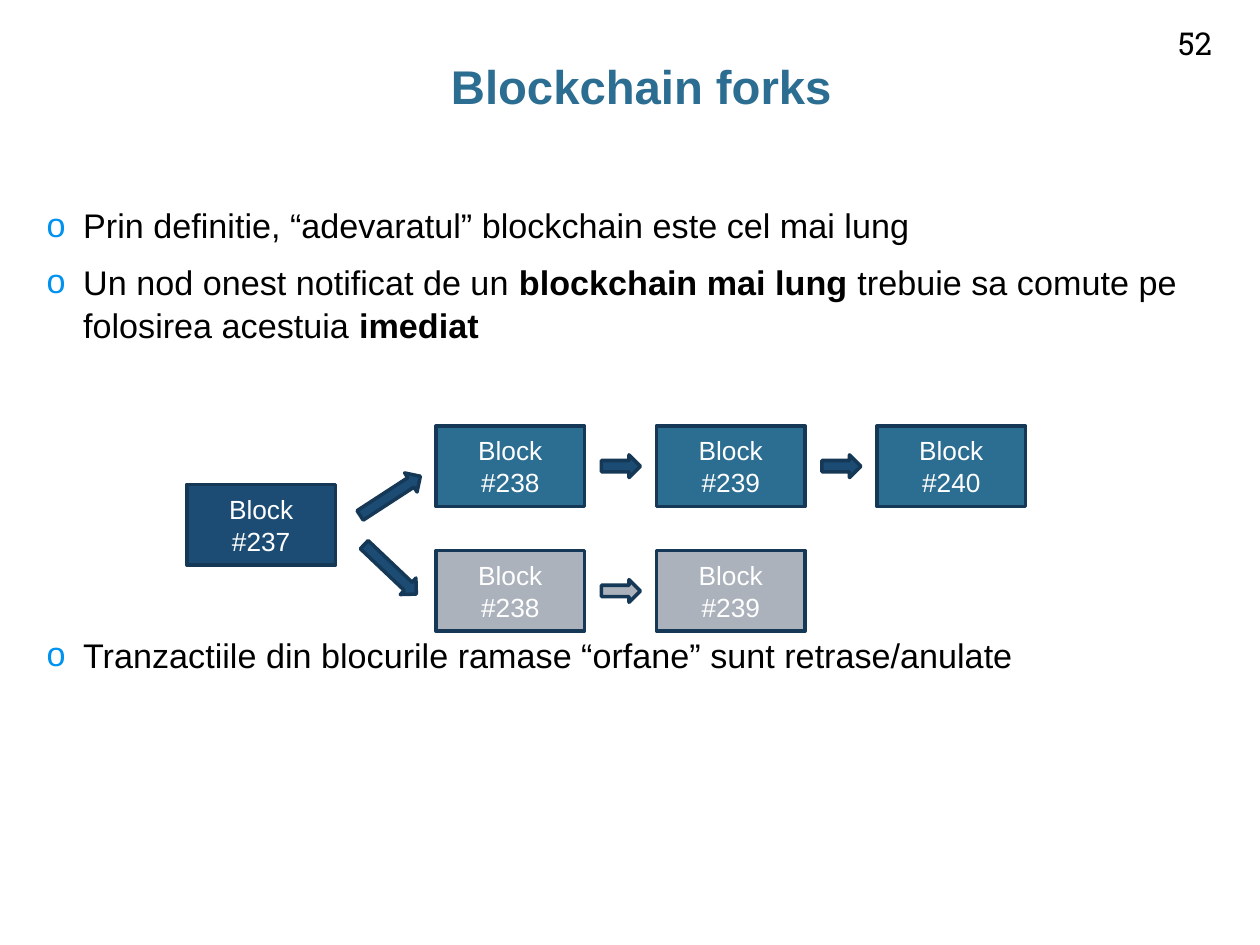
from dataclasses import dataclass

import pptx
import pptx.dml.color
import pptx.enum.shapes
import pptx.enum.text
import pptx.oxml
import pptx.oxml.ns
import pptx.util

Inches, Pt = pptx.util.Inches, pptx.util.Pt
RGBColor = pptx.dml.color.RGBColor
MSO_SHAPE = pptx.enum.shapes.MSO_SHAPE
PP_ALIGN = pptx.enum.text.PP_ALIGN
MSO_ANCHOR = pptx.enum.text.MSO_ANCHOR

TEAL = RGBColor(0x2C, 0x6D, 0x92)
NAVY = RGBColor(0x1C, 0x4C, 0x74)
GRAY = RGBColor(0xAB, 0xB2, 0xBC)
OUTLINE = RGBColor(0x15, 0x38, 0x56)
BULLET = RGBColor(0x00, 0x92, 0xEF)
BLACK = RGBColor(0, 0, 0)
WHITE = RGBColor(0xFF, 0xFF, 0xFF)

GRID_LEFT, GRID_TOP = 3.46, 3.38
COL, ROW = 1.75, 0.99
BLOCK_W, BLOCK_H = 1.18, 0.64
ARROW_H = 0.18
ARROW_COL = 0.75
ARROW_ROW = (BLOCK_H - ARROW_H) / 2 / ROW


@dataclass
class Block:
    number: int
    col: float
    row: float
    fill: RGBColor


@dataclass
class Arrow:
    col: float
    row: float
    fill: RGBColor = NAVY
    width: float = 0.31
    rotation: float = 0


@dataclass
class Bullet:
    runs: list[tuple[str, bool]]
    space_before: float


BLOCKS = [
    Block(237, -1.13, 0.47, NAVY),
    *(Block(238 + i, i, 0, TEAL) for i in range(3)),
    *(Block(238 + i, i, 1, GRAY) for i in range(2)),
]
ARROWS = [
    Arrow(-0.37, 0.47, width=0.57, rotation=327),
    Arrow(-0.37, 1.06, width=0.57, rotation=43.5),
    Arrow(ARROW_COL, ARROW_ROW),
    Arrow(ARROW_COL + 1, ARROW_ROW),
    Arrow(ARROW_COL, 1 + ARROW_ROW, GRAY),
]
BULLETS = [
    Bullet([("Prin definitie, “adevaratul” blockchain este cel mai lung", False)], 0),
    Bullet([("Un nod onest notificat de un ", False),
            ("blockchain mai lung ", True),
            ("trebuie sa comute pe folosirea acestuia ", False),
            ("imediat", True)], 7.8),
    Bullet([("Tranzactiile din blocurile ramase “orfane” sunt retrase/anulate", False)], 164),
]


def add_text(p, text: str, *, size: float, color: RGBColor = BLACK,
             font: str = "Arial", bold: bool = False) -> None:
    r = p.add_run()
    r.text = text
    r.font.name, r.font.size, r.font.bold = font, Pt(size), bold
    r.font.color.rgb = color


def set_frame(tf, anchor, inset_x: float = 0.1, inset_y: float = 0.05) -> None:
    tf.word_wrap = True
    tf.auto_size = pptx.enum.text.MSO_AUTO_SIZE.NONE
    tf.vertical_anchor = anchor
    tf.margin_left = tf.margin_right = Inches(inset_x)
    tf.margin_top = tf.margin_bottom = Inches(inset_y)


def place(sp, left: float, top: float, width: float, height: float) -> None:
    sp.left, sp.top = Inches(left), Inches(top)
    sp.width, sp.height = Inches(width), Inches(height)


def add_shape(s, kind, col: float, row: float, width: float, height: float,
              fill: RGBColor):
    sp = s.shapes.add_shape(kind, Inches(GRID_LEFT + col * COL),
                            Inches(GRID_TOP + row * ROW),
                            Inches(width), Inches(height))
    sp.shadow.inherit = False
    sp.fill.solid()
    sp.fill.fore_color.rgb = fill
    sp.line.color.rgb = OUTLINE
    sp.line.width = Pt(2)
    return sp


def add_block(s, block: Block) -> None:
    sp = add_shape(s, MSO_SHAPE.RECTANGLE, block.col, block.row,
                   BLOCK_W, BLOCK_H, block.fill)
    set_frame(sp.text_frame, MSO_ANCHOR.MIDDLE)
    p = sp.text_frame.paragraphs[0]
    p.alignment = PP_ALIGN.CENTER
    add_text(p, f"Block #{block.number}", size=15, color=WHITE)


def add_arrow(s, arrow: Arrow) -> None:
    sp = add_shape(s, MSO_SHAPE.RIGHT_ARROW, arrow.col, arrow.row,
                   arrow.width, ARROW_H, arrow.fill)
    sp.rotation = arrow.rotation


def set_bullet(p) -> None:
    pPr = p._p.get_or_add_pPr()
    pPr.set("marL", str(Inches(0.29)))
    pPr.set("indent", str(-Inches(0.29)))
    ns = pptx.oxml.ns.nsdecls("a")
    for xml in (f'<a:buClr {ns}><a:srgbClr val="{BULLET}"/></a:buClr>',
                f'<a:buFont {ns} typeface="Arial"/>',
                f'<a:buChar {ns} char="o"/>'):
        pPr.append(pptx.oxml.parse_xml(xml))


def add_bullets(s) -> None:
    sp = s.shapes.add_textbox(0, 0, 0, 0)
    place(sp, 0.37, 1.56, 9.44, 4.77)
    tf = sp.text_frame
    set_frame(tf, MSO_ANCHOR.TOP, inset_x=0)
    for i, bullet in enumerate(BULLETS):
        p = tf.add_paragraph() if i else tf.paragraphs[0]
        set_bullet(p)
        p.line_spacing = 1.05
        p.space_before = Pt(bullet.space_before)
        for text, bold in bullet.runs:
            add_text(p, text, size=19.5, bold=bold)


def main() -> None:
    prs = pptx.Presentation()
    prs.slide_width, prs.slide_height = Inches(10), Inches(7.5)
    s = prs.slides.add_slide(prs.slide_layouts.get_by_name("Title Only"))

    title = s.shapes.title
    place(title, 0.37, 0.39, 9.44, 0.79)
    set_frame(title.text_frame, MSO_ANCHOR.TOP, inset_y=0.1)
    p = title.text_frame.paragraphs[0]
    p.alignment = PP_ALIGN.CENTER
    p.line_spacing = 0.95
    add_text(p, "Blockchain forks", size=27, color=TEAL, bold=True)

    number = s.shapes.add_textbox(0, 0, 0, 0)
    place(number, 9.16, 0.14, 0.65, 0.4)
    set_frame(number.text_frame, MSO_ANCHOR.BOTTOM)
    p = number.text_frame.paragraphs[0]
    p.alignment = PP_ALIGN.CENTER
    add_text(p, "52", size=18, font="Roboto Slab")

    add_bullets(s)
    for block in BLOCKS:
        add_block(s, block)
    for arrow in ARROWS:
        add_arrow(s, arrow)
    prs.save("out.pptx")


if __name__ == "__main__":
    main()
